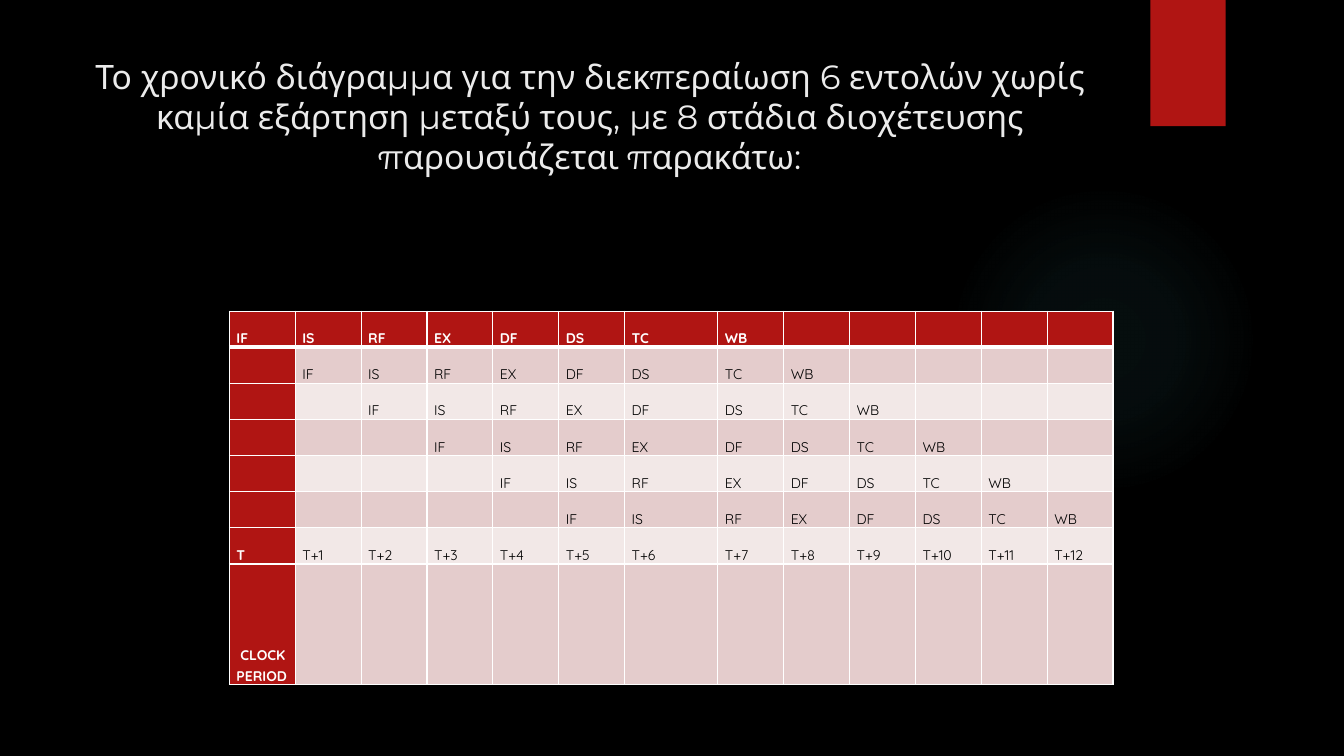
"""Build a slide with the timing chart of six commands in an eight-stage pipeline."""
from lxml import etree
from pptx import Presentation
from pptx.dml.color import RGBColor
from pptx.enum.dml import MSO_FILL
from pptx.enum.shapes import MSO_SHAPE
from pptx.enum.text import MSO_ANCHOR, MSO_AUTO_SIZE, PP_ALIGN
from pptx.oxml import parse_xml
from pptx.oxml.ns import nsdecls
from pptx.util import Cm, Pt

TOP, LOW = MSO_ANCHOR.TOP, MSO_ANCHOR.BOTTOM
LEFT, MID = PP_ALIGN.LEFT, PP_ALIGN.CENTER
OVAL, RECT = MSO_SHAPE.OVAL, MSO_SHAPE.RECTANGLE
NO_FIT = MSO_AUTO_SIZE.NONE
BLACK = RGBColor(0x00, 0x00, 0x00)
WHITE = RGBColor(0xFF, 0xFF, 0xFF)
PALE = RGBColor(0xEB, 0xEB, 0xEB)
RED = RGBColor(0xB0, 0x15, 0x13)
TEAL = RGBColor(0x50, 0xB9, 0xC1)
ROSE = RGBColor(0xE4, 0xCC, 0xCC)
BLUSH = RGBColor(0xF2, 0xE8, 0xE7)

STEPS = ["IF", "IS", "RF", "EX", "DF", "DS", "TC", "WB"]
JOBS = 6
COLS = JOBS + len(STEPS) - 1
ROWS = JOBS + 2


def write(frame, text, font="Quicksand", size=10, color=BLACK, bold=False,
          align=LEFT, space=1.15):
    para = frame.paragraphs[0]
    para.alignment = align
    para.line_spacing = space
    run = para.add_run()
    run.text = text
    run.font.name = font
    run.font.size = Pt(size)
    run.font.bold = bold
    run.font.color.rgb = color


def edge(cell, side, width):
    cell._tc.get_or_add_tcPr().append(parse_xml(
        f'<a:ln{side} {nsdecls("a")} w="{Pt(width)}"><a:solidFill>'
        f'<a:srgbClr val="{WHITE}"/></a:solidFill></a:ln{side}>'))


deck = Presentation()
deck.slide_width, deck.slide_height = Cm(33.87), Cm(19.05)
slide = deck.slides.add_slide(deck.slide_layouts[5])
slide.background.fill.solid()
slide.background.fill.fore_color.rgb = BLACK

glow = slide.shapes.add_shape(OVAL, Cm(23.9), Cm(4.65), Cm(7.82), Cm(7.82))
glow.shadow.inherit = False
glow.line.fill.background()
stops = "".join(
    f'<a:gs pos="{pos}000"><a:srgbClr val="{TEAL}"><a:alpha val="{alpha}000"/>'
    f'</a:srgbClr></a:gs>' for pos, alpha in [(0, 7), (36, 6), (69, 0), (100, 0)])
glow.fill.gradient()
grad = glow._element.spPr.find("{*}gradFill")
grad.getparent().replace(grad, parse_xml(
    f'<a:gradFill {nsdecls("a")}><a:gsLst>{stops}</a:gsLst><a:path path="circle">'
    '<a:fillToRect l="50000" t="50000" r="50000" b="50000"/></a:path></a:gradFill>'))

flag = slide.shapes.add_shape(RECT, Cm(28.99), 0, Cm(1.9), Cm(3.18))
flag.shadow.inherit = False
flag.fill.solid()
flag.fill.fore_color.rgb = RED
flag.line.fill.background()

title = slide.shapes.title
title.left, title.top, title.width, title.height = Cm(1.8), Cm(1.27), Cm(26.14), Cm(3.89)
title.text_frame.word_wrap = True
title.text_frame.auto_size = NO_FIT
title.text_frame.vertical_anchor = TOP
write(title.text_frame,
      "Το χρονικό διάγραμμα για την διεκπεραίωση 6 εντολών χωρίς καμία εξάρτηση "
      "μεταξύ τους, με 8 στάδια διοχέτευσης παρουσιάζεται παρακάτω:",
      font="Montserrat", size=24, color=PALE, align=MID, space=1.0)

grid = slide.shapes.add_table(ROWS, COLS, Cm(5.78), Cm(7.84), Cm(22.3), Cm(9.42)).table
grid.first_col = True
for col, part in enumerate(grid.columns):
    part.width = Cm(2.35 if col == 6 else 1.66)
for row, part in enumerate(grid.rows):
    part.height = Cm(3.04 if row == ROWS - 1 else 0.91)

for row in range(ROWS):
    for col in range(COLS):
        cell = grid.cell(row, col)
        head = row == 0 or col == 0
        cell.vertical_anchor = LOW
        cell.margin_left = cell.margin_right = Cm(0.18)
        cell.margin_top = cell.margin_bottom = 0
        for side in "LRTB":
            thick = (row, side) in [(0, "B"), (1, "T")]
            edge(cell, side, 3 if thick else 1)
        cell.fill.solid()
        cell.fill.fore_color.rgb = RED if head else ROSE if row % 2 else BLUSH

        text = ""
        if row < JOBS and 0 <= col - row < len(STEPS):
            text = STEPS[col - row]
        elif row == JOBS:
            text = f"T+{col}" if col else "T"
        elif row > JOBS and col == 0:
            text = " CLOCK PERIOD"
        if text:
            write(cell.text_frame, text, color=WHITE if head else BLACK, bold=head)

deck.save("out.pptx")
